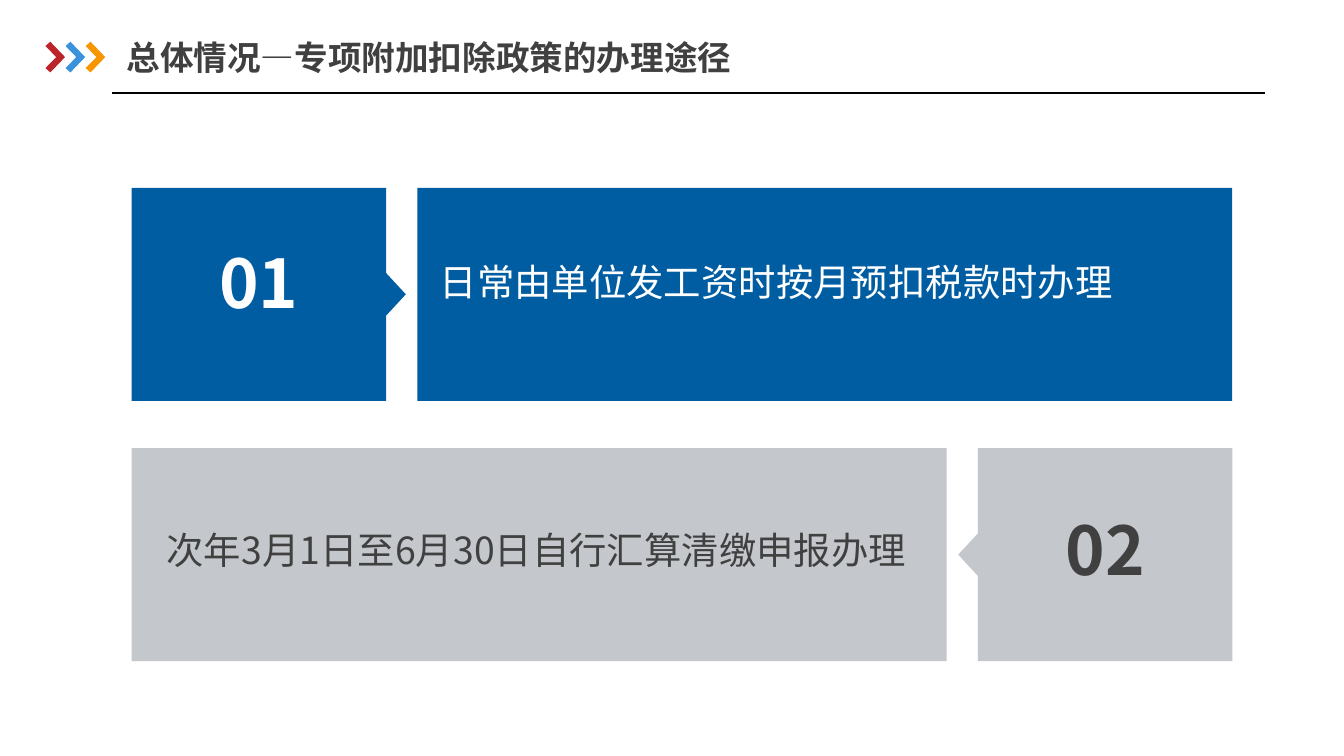
from pptx import Presentation
from pptx.dml.color import RGBColor
from pptx.enum.shapes import MSO_CONNECTOR, MSO_SHAPE
from pptx.enum.text import MSO_ANCHOR, MSO_AUTO_SIZE, PP_ALIGN
from pptx.oxml.ns import qn
from pptx.util import Cm, Pt
from lxml import etree

STRAIGHT = MSO_CONNECTOR.STRAIGHT
RECTANGLE = MSO_SHAPE.RECTANGLE
MIDDLE = MSO_ANCHOR.MIDDLE
NO_AUTOFIT = MSO_AUTO_SIZE.NONE
LEFT, CENTER = PP_ALIGN.LEFT, PP_ALIGN.CENTER

BLACK = RGBColor(0x00, 0x00, 0x00)
WHITE = RGBColor(0xFF, 0xFF, 0xFF)
DARK = RGBColor(0x40, 0x40, 0x40)
RED = RGBColor(0xBC, 0x24, 0x2A)
SKY = RGBColor(0x39, 0x92, 0xDB)
ORANGE = RGBColor(0xF7, 0x96, 0x00)
BLUE = RGBColor(0x00, 0x5D, 0xA2)
GRAY = RGBColor(0xC4, 0xC7, 0xCB)

FONT = "Noto Sans CJK SC"
CHEVRON = [(0.25, 1), (0, 0.86), (0.55, 0.5), (0, 0.14), (0.25, 0), (1, 0.5)]
ROW_LEFT, ROW_WIDTH, ROW_HEIGHT = 2.49, 20.8, 4.03
TAG_WIDTH, PANEL_WIDTH = 4.81, 15.4
TIP_DEPTH, TIP_HALF = 0.37, 0.4


def write(frame, words, size, color, bold=False, align=LEFT):
    """Fill a text frame with one formatted paragraph."""
    frame.text = words
    frame.word_wrap = True
    frame.auto_size = NO_AUTOFIT
    frame.margin_left = frame.margin_right = 0
    paragraph = frame.paragraphs[0]
    paragraph.alignment = align
    font = paragraph.font
    font.size, font.bold, font.name = Pt(size), bold, FONT
    font.color.rgb = color
    defaults = paragraph._p.pPr.find(qn("a:defRPr"))
    etree.SubElement(defaults, qn("a:ea"), typeface=FONT)


def add_label(slide, box, words, size, color, bold=False, align=LEFT):
    """Add a text box without margins."""
    frame = slide.shapes.add_textbox(*map(Cm, box)).text_frame
    frame.margin_top = frame.margin_bottom = 0
    write(frame, words, size, color, bold, align)


def paint(shape, color):
    """Give a shape a flat fill without outline or shadow."""
    shape.shadow.inherit = False
    shape.fill.solid()
    shape.fill.fore_color.rgb = color
    shape.line.fill.background()


def add_outline(slide, points, color):
    """Draw a closed polygon through points in centimetres."""
    start, *others = [(Cm(x), Cm(y)) for x, y in points]
    builder = slide.shapes.build_freeform(*start)
    builder.add_line_segments(others, close=True)
    paint(builder.convert_to_shape(), color)


def add_header(slide, left, top, width, words):
    """Place the three chevrons, the title and the rule below it."""
    for index, color in enumerate((RED, SKY, ORANGE)):
        chevron_left = left + index * 0.38
        add_outline(slide, [(chevron_left + x * 0.37, top + 0.23 + y * 0.58)
                            for x, y in CHEVRON], color)

    title = slide.shapes.title
    title.left, title.top = Cm(left + 1.53), Cm(top)
    title.width, title.height = Cm(13.1), Cm(1.04)
    title.text_frame.vertical_anchor = MIDDLE
    write(title.text_frame, words, 18, DARK, bold=True)

    rule_y = Cm(top + 1.2)
    rule = slide.shapes.add_connector(
        STRAIGHT, Cm(left + 1.25), rule_y, Cm(left + width), rule_y)
    rule.line.color.rgb = BLACK
    rule.line.width = Pt(0.75)
    etree.SubElement(rule._element.spPr, qn("a:effectLst"))


def add_route(slide, top, number, number_drop, words, words_box, fill, ink,
              mirrored=False):
    """Place a numbered tag pointing at its panel, mirrored if asked."""
    right, bottom = ROW_LEFT + ROW_WIDTH, top + ROW_HEIGHT
    middle = top + ROW_HEIGHT / 2
    if mirrored:
        panel_left, outer, direction = ROW_LEFT, right, -1
    else:
        panel_left, outer, direction = right - PANEL_WIDTH, ROW_LEFT, 1
    inner = outer + direction * TAG_WIDTH

    panel = slide.shapes.add_shape(RECTANGLE, Cm(panel_left), Cm(top),
                                   Cm(PANEL_WIDTH), Cm(ROW_HEIGHT))
    paint(panel, fill)
    add_outline(slide, [(outer, top), (inner, top), (inner, middle - TIP_HALF),
                        (inner + direction * TIP_DEPTH, middle),
                        (inner, middle + TIP_HALF), (inner, bottom),
                        (outer, bottom)], fill)

    number_box = (min(outer, inner), top + number_drop, TAG_WIDTH, 1.52)
    add_label(slide, number_box, number, 36, ink, bold=True, align=CENTER)
    indent, drop, width, height = words_box
    add_label(slide, (panel_left + indent, top + drop, width, height),
              words, 20, ink)


def main():
    """Build and save the slide."""
    deck = Presentation()
    deck.slide_width, deck.slide_height = Cm(25.4), Cm(14.29)
    slide = deck.slides.add_slide(deck.slide_layouts[5])
    add_header(slide, 0.86, 0.56, 23.05, "总体情况—专项附加扣除政策的办理途径")
    add_route(slide, 3.55, "01", 1.02, "日常由单位发工资时按月预扣税款时办理",
              (0.42, 1.35, 15.6, 0.84), BLUE, WHITE)
    add_route(slide, 8.47, "02", 1.13,
              "次年3月1日至6月30日自行汇算清缴申报办理",
              (0.66, 1.49, 14.1, 1.7), GRAY, DARK, mirrored=True)
    deck.save("out.pptx")


if __name__ == "__main__":
    main()
